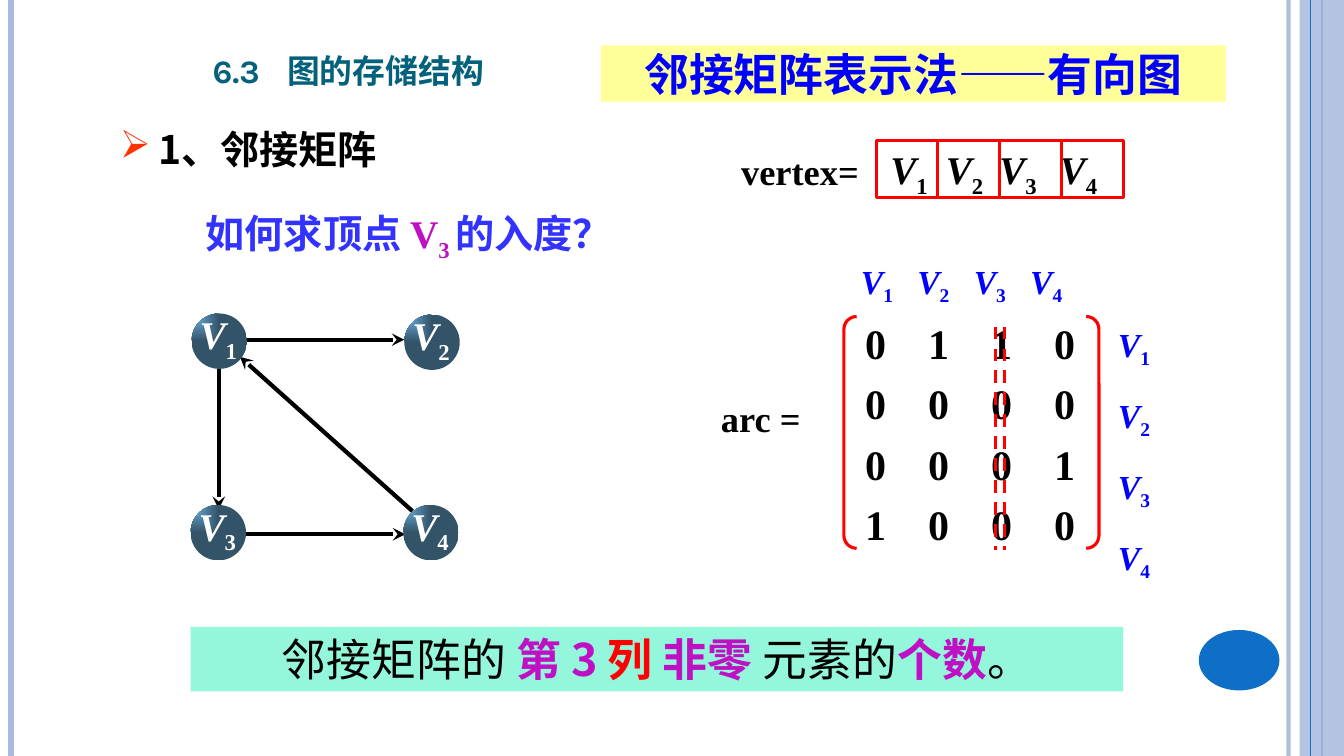
from dataclasses import dataclass

from lxml import etree
from pptx import Presentation
from pptx import util as u
from pptx.dml.color import RGBColor
from pptx.enum import dml, shapes, text
from pptx.oxml import ns

LEFT, CENTER = text.PP_ALIGN.LEFT, text.PP_ALIGN.CENTER
TOP, MIDDLE, BOTTOM = (text.MSO_ANCHOR.TOP, text.MSO_ANCHOR.MIDDLE,
                       text.MSO_ANCHOR.BOTTOM)
RECT, OVAL = shapes.MSO_SHAPE.RECTANGLE, shapes.MSO_SHAPE.OVAL


@dataclass(frozen=True)
class Theme:
    """Colours, fonts and type sizes of the slide."""
    black: str = "000000"
    white: str = "FFFFFF"
    red: str = "FF0000"
    blue: str = "0000FF"
    violet: str = "3333FF"
    magenta: str = "BF11C3"
    teal: str = "04617B"
    bullet: str = "FF3300"
    yellow: str = "FFFF99"
    mint: str = "94F7DC"
    frame: str = "ABBBDF"
    accent: str = "0F6FC6"
    node_light: str = "6FB4E3"
    node_dark: str = "335369"
    serif: str = "Times New Roman"
    sans: str = "Noto Sans CJK SC"
    heading: str = "Karla"
    title: float = 29.2
    banner: int = 32
    matrix: int = 30
    body: int = 28
    name: int = 26
    index: int = 24


T = Theme()


def rgb(color):
    """Return a colour object for a hex string."""
    return RGBColor.from_string(color)


def child(parent, tag, **attrs):
    """Append a DrawingML element to a parent."""
    el = etree.SubElement(parent, ns.qn("a:" + tag))
    for key, value in attrs.items():
        el.set(key, str(value))
    return el


def set_alpha(fill, percent):
    """Give a solid fill its opacity."""
    child(fill._xPr.find(".//" + ns.qn("a:srgbClr")), "alpha", val=percent * 1000)


def add_run(p, content, size=T.body, font=T.sans, color=T.black, bold=True,
            italic=False, sub=False, small=False):
    """Add formatted text to a paragraph."""
    r = p.add_run()
    r.text = content
    f = r.font
    f.size, f.name, f.bold, f.italic = u.Pt(size), font, bold, italic
    f.color.rgb = rgb(color)
    rpr = r._r.get_or_add_rPr()
    child(rpr, "ea", typeface=T.sans)
    if sub:
        rpr.set("baseline", "-25000")
    if small:
        rpr.set("cap", "small")


def write(sp, paragraphs, align=LEFT, anchor=TOP, inset=(0.1, 0.05, 0.1, 0.05),
          spacing=None, tabs=(), bullet=None):
    """Fill a shape with paragraphs made of (text, format) runs."""
    tf = sp.text_frame
    tf.word_wrap = True
    tf.vertical_anchor = anchor
    (tf.margin_left, tf.margin_top,
     tf.margin_right, tf.margin_bottom) = map(u.Inches, inset)
    for i, runs in enumerate(paragraphs):
        p = tf.add_paragraph() if i else tf.paragraphs[0]
        p.alignment = align
        if spacing:
            p.line_spacing = spacing
        ppr = p._p.get_or_add_pPr()
        if bullet:
            ppr.set("marL", str(u.Inches(0.38)))
            ppr.set("indent", str(u.Inches(-0.38)))
            child(child(ppr, "buClr"), "srgbClr", val=T.bullet)
            child(ppr, "buChar", char=bullet)
        if tabs:
            tab_list = child(ppr, "tabLst")
            for x in tabs:
                child(tab_list, "tab", pos=u.Inches(x), algn="l")
        for content, fmt in runs:
            add_run(p, content, **fmt)


def add_text(s, box, paragraphs, **layout):
    """Add a text box."""
    write(s.shapes.add_textbox(*map(u.Inches, box)), paragraphs, **layout)


def add_shape(s, kind, box, fill=None, line=None, alpha=None):
    """Add a preset shape with a plain fill and outline."""
    sp = s.shapes.add_shape(kind, *map(u.Inches, box))
    sp.shadow.inherit = False
    if fill:
        sp.fill.solid()
        sp.fill.fore_color.rgb = rgb(fill)
        if alpha:
            set_alpha(sp.fill, alpha)
    else:
        sp.fill.background()
    if line:
        sp.line.color.rgb = rgb(line)
        sp.line.width = u.Pt(2.25)
    else:
        sp.line.fill.background()
    return sp


def add_line(s, start, end, color, width, dash=False, arrow=False, alpha=None):
    """Add a straight line or arrow."""
    c = s.shapes.add_connector(shapes.MSO_CONNECTOR.STRAIGHT,
                               *map(u.Inches, (*start, *end)))
    c.line.color.rgb = rgb(color)
    c.line.width = u.Pt(width)
    if alpha:
        set_alpha(c.line.fill, alpha)
    if dash:
        c.line.dash_style = dml.MSO_LINE.DASH
    if arrow:
        child(c.line._get_or_add_ln(), "tailEnd", type="stealth")
    child(c._element.spPr, "effectLst")


def vertex(n, lead="", **fmt):
    """Return the runs of a vertex name with its subscript."""
    fmt = dict(fmt, font=T.serif)
    return [(f"{lead}V", dict(fmt, italic=True)), (str(n), dict(fmt, sub=True))]


def vertex_row(**fmt):
    """Return the four vertex names parted by tabs."""
    return [run for n in range(1, 5)
            for run in vertex(n, "\t" if n > 1 else "", **fmt)]


def add_node(s, n, x, y):
    """Add a graph node with its label."""
    sp = add_shape(s, OVAL, (x, y, 0.55, 0.55))
    sp.fill.gradient()
    for stop, color in zip(sp.fill.gradient_stops, (T.node_light, T.node_dark)):
        stop.color.rgb = rgb(color)
    grad = sp._element.spPr.find(ns.qn("a:gradFill"))
    grad.remove(grad.find(ns.qn("a:lin")))
    child(child(grad, "path", path="rect"), "fillToRect", r=100000, b=100000)
    add_text(s, (x + 0.07, y - 0.06, 0.51, 0.65), [vertex(n, color=T.white)],
             inset=(0.01, 0.03, 0, 0.01))


def add_frame(s):
    """Add the side bars and the page marker."""
    for x, color, width, alpha in ((12.78, T.frame, 3, 93), (0.11, T.frame, 4.5, None),
                                   (13.11, T.accent, 1.5, None)):
        add_line(s, (x, 0), (x, 7.5), color, width, alpha=alpha)
    add_shape(s, RECT, (12.89, 0, 0.44, 7.5), T.frame, alpha=87)
    add_line(s, (13, 0), (13, 7.5), T.accent, 0.75)
    add_shape(s, OVAL, (11.89, 6.25, 0.8, 0.6), T.accent)


def add_headings(s):
    """Add the titles and the question."""
    add_text(s, (1.09, 1.1, 9.66, 0.76), [[("1、邻接矩阵", {})]],
             spacing=1.2, bullet="➢")
    add_text(s, (2.01, 0.35, 4.88, 0.61),
             [[("6.3\t图的存储结构", dict(size=T.title, font=T.heading,
                                    color=T.teal, small=True))]],
             anchor=BOTTOM, tabs=[0.74])
    write(add_shape(s, RECT, (5.96, 0.45, 6.2, 0.56), T.yellow),
          [[("邻接矩阵表示法——有向图", dict(size=T.banner, color=T.blue))]],
          align=CENTER, anchor=MIDDLE)
    target = dict(font=T.serif, color=T.magenta)
    add_text(s, (1.94, 2.03, 4.62, 0.57),
             [[("如何求顶点 ", dict(color=T.violet)), ("V", target),
               ("3 ", dict(target, sub=True)), ("的入度？", dict(color=T.violet))]])


def add_graph(s):
    """Add the directed graph."""
    for start, end in (((2.44, 3.37), (4.01, 3.37)), ((2.17, 3.65), (2.17, 5.05)),
                       ((2.41, 5.3), (4.02, 5.3)), ((4.09, 5.07), (2.38, 3.54))):
        add_line(s, start, end, T.black, 3, arrow=True)
    for n, (x, y) in enumerate(((1.9, 3.11), (4.01, 3.12), (1.89, 5.01), (4, 5.01)), 1):
        add_node(s, n, x, y)


def add_vertex_array(s):
    """Add the vertex array with its cell borders."""
    left, top, width, height = box = 8.69, 1.39, 2.45, 0.57
    write(add_shape(s, RECT, box, line=T.red), [vertex_row()],
          inset=(0.14, 0.05, 0, 0.05), tabs=[0.55, 1.08, 1.68])
    for i in range(1, 4):
        x = left + i * width / 4
        add_line(s, (x, top), (x, top + height), T.red, 2.25)
    add_text(s, (7.2, 1.43, 1.47, 0.54),
             [[("vertex=", dict(size=T.name, font=T.serif))]], align=CENTER)


def add_matrix(s):
    """Add the adjacency matrix with its labels and marked column."""
    rows = ("0110", "0000", "0001", "1000")
    add_text(s, (8.58, 3.04, 2.4, 2.61),
             [[("\t".join(row), dict(size=T.matrix, font=T.serif))] for row in rows],
             inset=(0, 0.01, 0, 0.01), spacing=1.2,
             tabs=[0.625 * i for i in range(1, 4)])
    bracket = add_shape(s, shapes.MSO_SHAPE.DOUBLE_BRACKET, (8.37, 3.14, 2.53, 2.3),
                        line=T.red)
    bracket.adjustments[0] = 0.055
    add_text(s, (6.89, 3.88, 1.31, 0.54),
             [[("arc =", dict(size=T.name, font=T.serif))]], align=CENTER)
    label = dict(size=T.index, color=T.blue)
    add_text(s, (8.44, 2.54, 3.06, 0.5), [vertex_row(**label)],
             tabs=[0.56 * i for i in range(1, 4)])
    add_text(s, (10.99, 2.91, 0.66, 2.6),
             [vertex(n, **label) for n in range(1, 5)], spacing=1.55)
    for x in (9.87, 9.96):
        add_line(s, (x, 3.24), (x, 5.46), T.red, 2.25, dash=True)


def add_answer(s):
    """Add the answer bar."""
    parts = (("邻接矩阵的 ", T.black), ("第 3 ", T.magenta), ("列", T.red),
             (" 非零 ", T.magenta), ("元素的", T.black), ("个数", T.magenta),
             ("。", T.black))
    write(add_shape(s, RECT, (1.89, 6.22, 9.25, 0.64), T.mint),
          [[(part, dict(size=T.banner, color=color, bold=color != T.black))
            for part, color in parts]], align=CENTER)


def main():
    """Build the slide and save it."""
    prs = Presentation()
    prs.slide_width, prs.slide_height = u.Inches(13.33), u.Inches(7.5)
    s = prs.slides.add_slide(prs.slide_layouts[6])
    for add_part in (add_frame, add_headings, add_graph, add_vertex_array,
                     add_matrix, add_answer):
        add_part(s)
    prs.save("out.pptx")


if __name__ == "__main__":
    main()
